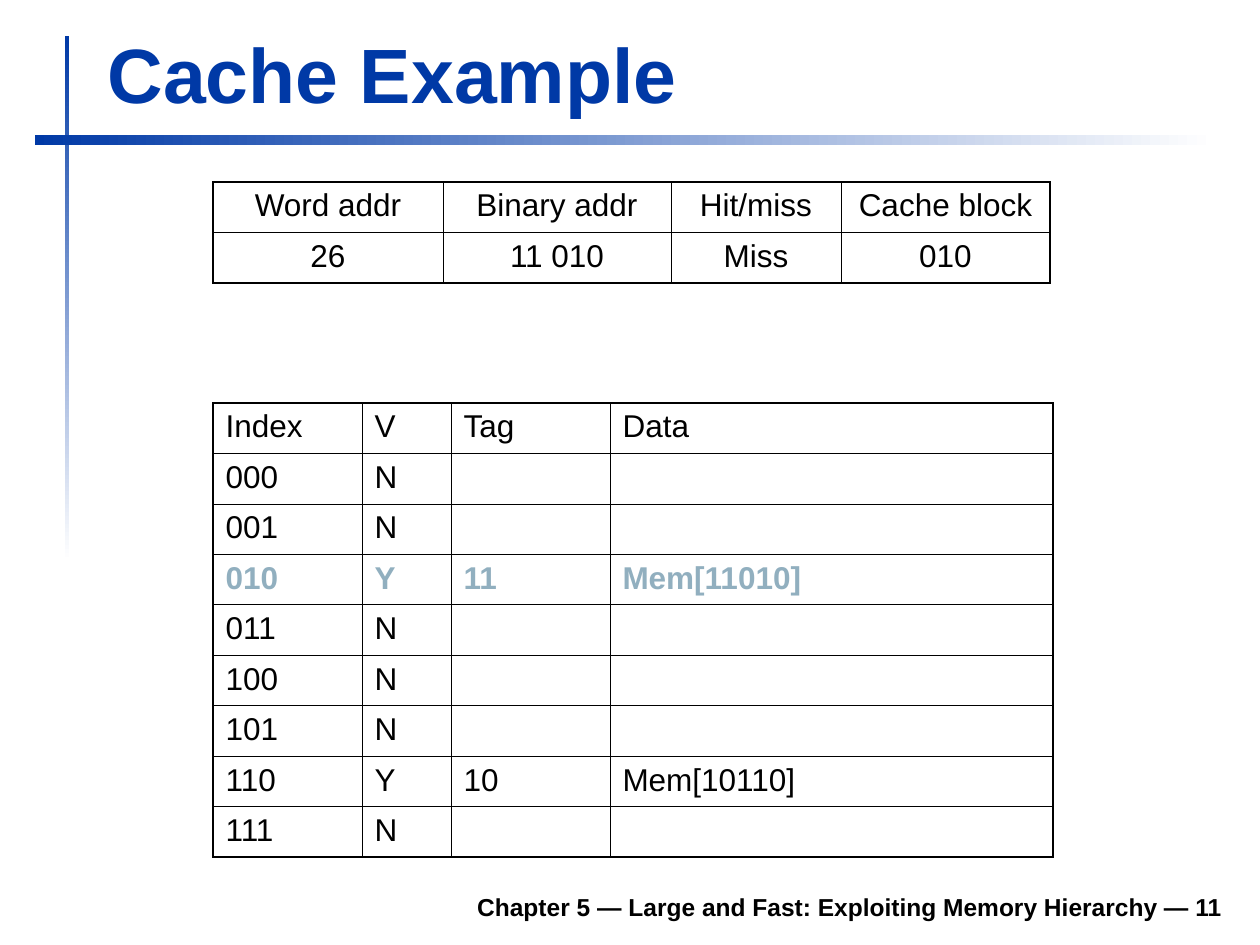
import dataclasses

import lxml.etree
import pptx
import pptx.dml.color
import pptx.enum.shapes
import pptx.enum.text
import pptx.oxml.ns
import pptx.util

PIXEL = pptx.util.Inches(1) / 126
ALIGN = pptx.enum.text.PP_ALIGN
ANCHOR = pptx.enum.text.MSO_ANCHOR


@dataclasses.dataclass(frozen=True)
class Theme:
    """Hold the colours, type sizes and rule widths."""
    font: str = "Arial"
    blue: str = "0039A6"
    white: str = "FFFFFF"
    ink: str = "000000"
    accent: str = "91AFBF"
    title_size: int = 44
    table_size: int = 18
    footer_size: int = 14
    outer_rule: float = 1.08
    header_rule: float = 0.74
    inner_rule: float = 0.45


THEME = Theme()


def emu(*pixels):
    """Turn pixel lengths into EMU."""
    return [pptx.util.Emu(round(length * PIXEL)) for length in pixels]


def rgb(code):
    """Return the colour for a hex code."""
    return pptx.dml.color.RGBColor.from_string(code)


def style_para(para, size, color, bold=False, align=ALIGN.LEFT):
    """Set the font and alignment of a paragraph."""
    para.alignment = align
    para.font.name = THEME.font
    para.font.size = pptx.util.Pt(size)
    para.font.bold = bold
    para.font.color.rgb = rgb(color)


def add_bar(page, box, angle):
    """Add a bar that fades from blue to white."""
    bar = page.shapes.add_shape(
        pptx.enum.shapes.MSO_SHAPE.RECTANGLE, *emu(*box))
    bar.shadow.inherit = False
    bar.line.fill.background()
    bar.fill.gradient()
    bar.fill.gradient_angle = angle
    for stop, color in zip(bar.fill.gradient_stops, (THEME.blue, THEME.white)):
        stop.color.rgb = rgb(color)


def add_heading(page, box, text):
    """Place the title with its crossing bars."""
    left, top, width, height = box
    add_bar(page, (left - 30, top + 16, 4, 525), 270)
    add_bar(page, (left - 60, top + 115, 1180, 10), 0)
    title = page.shapes.title
    title.left, title.top, title.width, title.height = emu(*box)
    frame = title.text_frame
    frame.text = text
    frame.vertical_anchor = ANCHOR.BOTTOM
    frame.auto_size = pptx.enum.text.MSO_AUTO_SIZE.SHAPE_TO_FIT_TEXT
    style_para(frame.paragraphs[0], THEME.title_size, THEME.blue, True)


def add_footer(page, box, text):
    """Place the right-aligned chapter line."""
    frame = page.shapes.add_textbox(*emu(*box)).text_frame
    frame.word_wrap = True
    frame.vertical_anchor = ANCHOR.BOTTOM
    frame.text = text
    style_para(frame.paragraphs[0], THEME.footer_size, THEME.ink, True,
               ALIGN.RIGHT)


def set_borders(cell, widths):
    """Draw the cell borders from a side-to-points mapping."""
    properties = cell._tc.get_or_add_tcPr()
    name = pptx.oxml.ns.qn
    for side, points in widths.items():
        line = lxml.etree.SubElement(
            properties, name(f"a:ln{side}"), w=str(pptx.util.Pt(points)))
        fill = lxml.etree.SubElement(line, name("a:solidFill"))
        lxml.etree.SubElement(fill, name("a:srgbClr"), val=THEME.ink)


def add_grid(page, box, columns, rows, align, marked=None):
    """Add a ruled table with equal rows and an optional marked row."""
    left, top, height = box
    table = page.shapes.add_table(
        len(rows), len(columns), *emu(left, top, sum(columns), height)).table
    table.first_row = False
    table.horz_banding = False
    for column, width in zip(table.columns, emu(*columns)):
        column.width = width
    across = ([THEME.outer_rule, THEME.header_rule]
              + [THEME.inner_rule] * (len(rows) - 2) + [THEME.outer_rule])
    down = ([THEME.outer_rule] + [THEME.inner_rule] * (len(columns) - 1)
            + [THEME.outer_rule])
    for r, values in enumerate(rows):
        table.rows[r].height = emu(height / len(rows))[0]
        color = THEME.accent if r == marked else THEME.ink
        for c, value in enumerate(values):
            cell = table.cell(r, c)
            set_borders(cell, {"L": down[c], "R": down[c + 1],
                               "T": across[r], "B": across[r + 1]})
            cell.fill.background()
            cell.text = value
            para = cell.text_frame.paragraphs[0]
            para.space_before = pptx.util.Pt(4.5)
            style_para(para, THEME.table_size, color, r == marked, align)


def build():
    """Build and save the deck."""
    deck = pptx.Presentation()
    deck.slide_width, deck.slide_height = emu(1260, 945)
    page = deck.slides.add_slide(deck.slide_layouts.get_by_name("Title Only"))
    add_heading(page, (95, 20, 1138, 105), "Cache Example")
    add_footer(page, (233, 879, 1002, 49),
               "Chapter 5 — Large and Fast: Exploiting Memory Hierarchy — 11")
    filled = {"010": ("Y", "11", "Mem[11010]"),
              "110": ("Y", "10", "Mem[10110]")}
    indexes = [f"{number:03b}" for number in range(8)]
    cache = [("Index", "V", "Tag", "Data")] + [
        (index, *filled.get(index, ("N", "", ""))) for index in indexes]
    add_grid(page, (213, 403, 454), (149, 89, 159, 443), cache, ALIGN.LEFT,
             marked=1 + indexes.index("010"))
    access = [("Word addr", "Binary addr", "Hit/miss", "Cache block"),
              ("26", "11 010", "Miss", "010")]
    add_grid(page, (213, 182, 101), (230, 228, 170, 209), access, ALIGN.CENTER)
    deck.save("out.pptx")


build()
